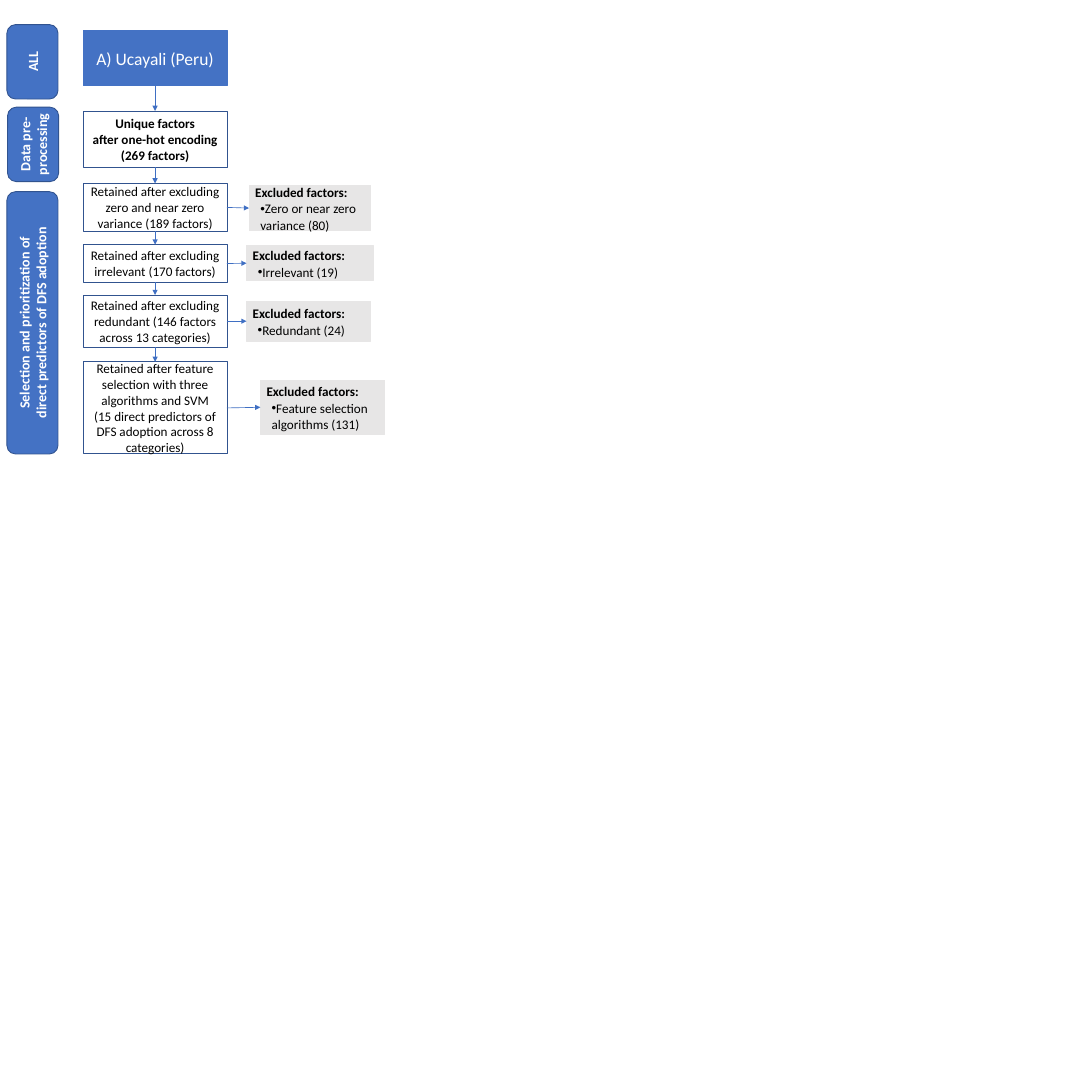
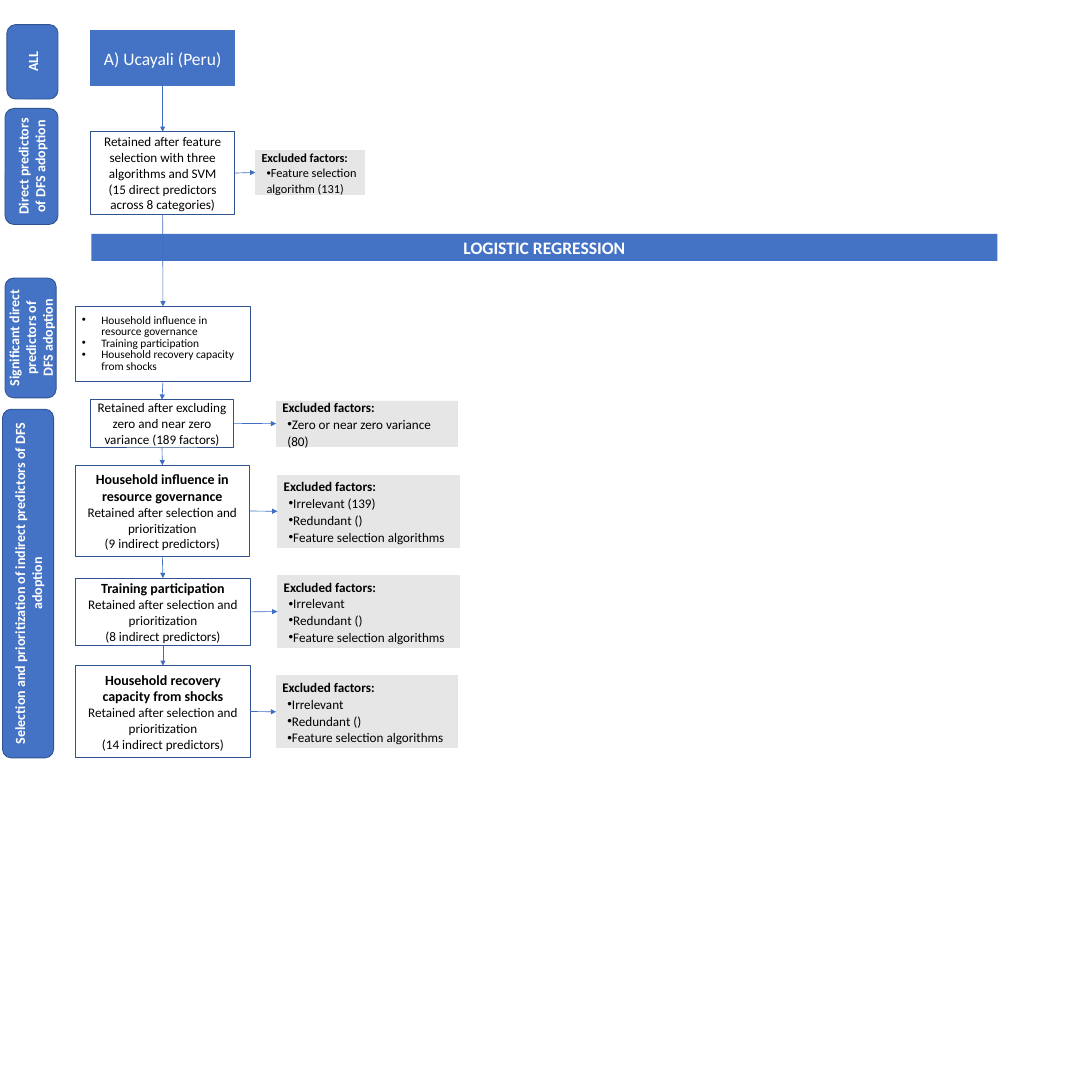
from dataclasses import dataclass
from itertools import pairwise

from lxml.etree import SubElement
from pptx import Presentation
from pptx.dml.color import RGBColor
from pptx.enum.shapes import MSO_CONNECTOR, MSO_SHAPE
from pptx.enum.text import MSO_ANCHOR, PP_ALIGN
from pptx.oxml.ns import qn
from pptx.util import Inches, Pt

FONT = "Calibri"
BLUE, EDGE, ARROW = "4472C4", "31538F", "3F6FC3"
GREY, BLACK, WHITE = "E7E6E6", "000000", "FFFFFF"
TOP, LEFT, BOTTOM, RIGHT = range(4)
NEAR_ZERO = "Retained after excluding zero and near zero variance (189 factors)"
FEATURE_SELECTION = "Retained after feature selection with three algorithms and SVM"
SELECTED = "Retained after selection and prioritization"


@dataclass
class Line:
    text: str
    size: int = 15
    bold: bool = False
    color: str = BLACK
    align: PP_ALIGN = PP_ALIGN.CENTER
    spacing: object = None
    bullet: tuple = None


@dataclass
class Excluded:
    box: tuple
    reasons: list
    size: int = 15


@dataclass
class Step:
    box: tuple
    lines: list
    excluded: Excluded = None


def rgb(value):
    return RGBColor.from_string(value)


def add_bullet(para, left, indent):
    properties = para._p.get_or_add_pPr()
    properties.set("marL", str(Inches(left)))
    properties.set("indent", str(Inches(indent)))
    SubElement(properties, qn("a:buFont")).set("typeface", "Arial")
    SubElement(properties, qn("a:buChar")).set("char", "•")


def write_lines(shape, lines, side_margin):
    frame = shape.text_frame
    frame.word_wrap = True
    frame.vertical_anchor = MSO_ANCHOR.MIDDLE
    frame.margin_left = frame.margin_right = Inches(side_margin)
    frame.margin_top = frame.margin_bottom = Inches(0.05)
    for index, line in enumerate(lines):
        para = frame.add_paragraph() if index else frame.paragraphs[0]
        para.text = line.text
        para.alignment = line.align
        para.font.name = FONT
        para.font.size = Pt(line.size)
        para.font.bold = line.bold
        para.font.color.rgb = rgb(line.color)
        if line.spacing:
            para.line_spacing = line.spacing
        if line.bullet:
            add_bullet(para, *line.bullet)


def add_box(page, box, lines, fill=None, edge=None, kind=MSO_SHAPE.RECTANGLE, side_margin=0.1):
    shape = page.shapes.add_shape(kind, *map(Inches, box))
    shape.shadow.inherit = False
    if fill:
        shape.fill.solid()
        shape.fill.fore_color.rgb = rgb(fill)
    else:
        shape.fill.background()
    if edge:
        shape.line.color.rgb = rgb(edge)
        shape.line.width = Pt(1)
    else:
        shape.line.fill.background()
    write_lines(shape, lines, side_margin)
    return shape


def add_stage(page, box, texts):
    left, top, width, height = box
    turned = (left + (width - height) / 2, top + (height - width) / 2, height, width)
    lines = [Line(text, 16, True, WHITE) for text in texts]
    shape = add_box(page, turned, lines, BLUE, EDGE, MSO_SHAPE.ROUNDED_RECTANGLE, 0.05)
    shape.rotation = 270


def add_arrow(page, start, start_site, end, end_site):
    arrow = page.shapes.add_connector(MSO_CONNECTOR.STRAIGHT, 0, 0, 0, 0)
    arrow.begin_connect(start, start_site)
    arrow.end_connect(end, end_site)
    arrow.line.color.rgb = rgb(ARROW)
    arrow.line.width = Pt(0.75)
    SubElement(arrow.line._get_or_add_ln(), qn("a:tailEnd")).set("type", "triangle")
    SubElement(arrow._element.spPr, qn("a:effectLst"))


def add_excluded(page, excluded):
    style = dict(size=excluded.size, align=PP_ALIGN.LEFT, spacing=1.07)
    lines = [Line("Excluded factors:", bold=True, **style)]
    lines += [Line(reason, bullet=(0.08, 0), **style) for reason in excluded.reasons]
    return add_box(page, excluded.box, lines, GREY, GREY)


def add_flow(page, heading_left, steps):
    heading = [Line("A) Ucayali (Peru)", 20, color=WHITE)]
    shapes = [add_box(page, (heading_left, 0.48, 2.28, 0.88), heading, BLUE, BLUE)]
    for step in steps:
        shape = add_box(page, step.box, step.lines, edge=EDGE)
        shapes.append(shape)
        if step.excluded:
            add_arrow(page, shape, RIGHT, add_excluded(page, step.excluded), LEFT)
    for upper, lower in pairwise(shapes):
        add_arrow(page, upper, BOTTOM, lower, TOP)


def predictor_step(box, name, count, excluded):
    lines = [Line(name, 16, True), Line(SELECTED), Line(f"({count} indirect predictors)")]
    return Step(box, lines, excluded)


def build_direct_page(page):
    add_stage(page, (0.11, 0.39, 0.81, 1.18), ["ALL"])
    add_stage(page, (0.12, 1.7, 0.81, 1.18), ["Data pre-processing"])
    add_stage(page, (0.11, 3.04, 0.81, 4.16),
              ["Selection and prioritization of", "direct predictors of DFS adoption"])
    add_flow(page, 1.32, [
        Step((1.32, 1.76, 2.28, 0.89),
             [Line("Unique factors", bold=True),
              Line("after one-hot encoding (269 factors)", bold=True)]),
        Step((1.32, 2.91, 2.28, 0.76), [Line(NEAR_ZERO)],
             Excluded((3.95, 2.94, 1.93, 0.72), ["Zero or near zero variance (80)"])),
        Step((1.32, 3.88, 2.28, 0.6),
             [Line("Retained after excluding irrelevant (170 factors)")],
             Excluded((3.91, 3.9, 2.01, 0.55), ["Irrelevant (19)"])),
        Step((1.32, 4.68, 2.28, 0.83),
             [Line("Retained after excluding redundant (146 factors across 13 categories)")],
             Excluded((3.91, 4.78, 1.97, 0.63), ["Redundant (24)"])),
        Step((1.32, 5.74, 2.28, 1.46),
             [Line(FEATURE_SELECTION), Line("(15 direct predictors of"),
              Line("DFS adoption across 8 categories)")],
             Excluded((4.13, 6.03, 1.97, 0.86), ["Feature selection algorithms (131)"])),
    ])


def build_indirect_page(page):
    add_stage(page, (0.11, 0.39, 0.81, 1.18), ["ALL"])
    add_stage(page, (0.08, 1.72, 0.84, 1.84), ["Direct predictors of DFS adoption"])
    add_stage(page, (0.08, 4.41, 0.81, 1.9),
              ["Significant direct predictors of", "DFS adoption"])
    add_stage(page, (0.04, 6.49, 0.81, 5.53),
              ["Selection and prioritization of indirect predictors of DFS adoption"])
    add_box(page, (1.45, 3.71, 14.37, 0.43),
            [Line("LOGISTIC REGRESSION", 20, True, WHITE)], BLUE)

    influence = "Household influence in resource governance"
    training = "Training participation"
    recovery = "Household recovery capacity from shocks"
    significant = [
        Line(name, 13, align=PP_ALIGN.LEFT, spacing=Pt(13), bullet=(0.31, -0.31))
        for name in (influence, training, recovery)
    ]
    common = ["Redundant ()", "Feature selection algorithms"]
    add_flow(page, 1.44, [
        Step((1.44, 2.09, 2.28, 1.31),
             [Line(FEATURE_SELECTION), Line("(15 direct predictors across 8 categories)")],
             Excluded((4.05, 2.38, 1.73, 0.71), ["Feature selection algorithm (131)"], 14)),
        Step((1.2, 4.86, 2.77, 1.19), significant),
        Step((1.43, 6.34, 2.28, 0.75), [Line(NEAR_ZERO)],
             Excluded((4.38, 6.36, 2.88, 0.72), ["Zero or near zero variance (80)"])),
        predictor_step((1.19, 7.38, 2.77, 1.45), influence, 9,
                       Excluded((4.4, 7.54, 2.88, 1.14), ["Irrelevant (139)"] + common)),
        predictor_step((1.2, 9.17, 2.77, 1.07), training, 8,
                       Excluded((4.4, 9.13, 2.88, 1.14), ["Irrelevant"] + common)),
        predictor_step((1.2, 10.56, 2.77, 1.45), recovery, 14,
                       Excluded((4.38, 10.72, 2.88, 1.14), ["Irrelevant"] + common)),
    ])


def main():
    deck = Presentation()
    deck.slide_width = deck.slide_height = Inches(17.32)
    blank = deck.slide_layouts.get_by_name("Blank")
    for build in (build_direct_page, build_indirect_page):
        build(deck.slides.add_slide(blank))
    deck.save("out.pptx")


if __name__ == "__main__":
    main()
